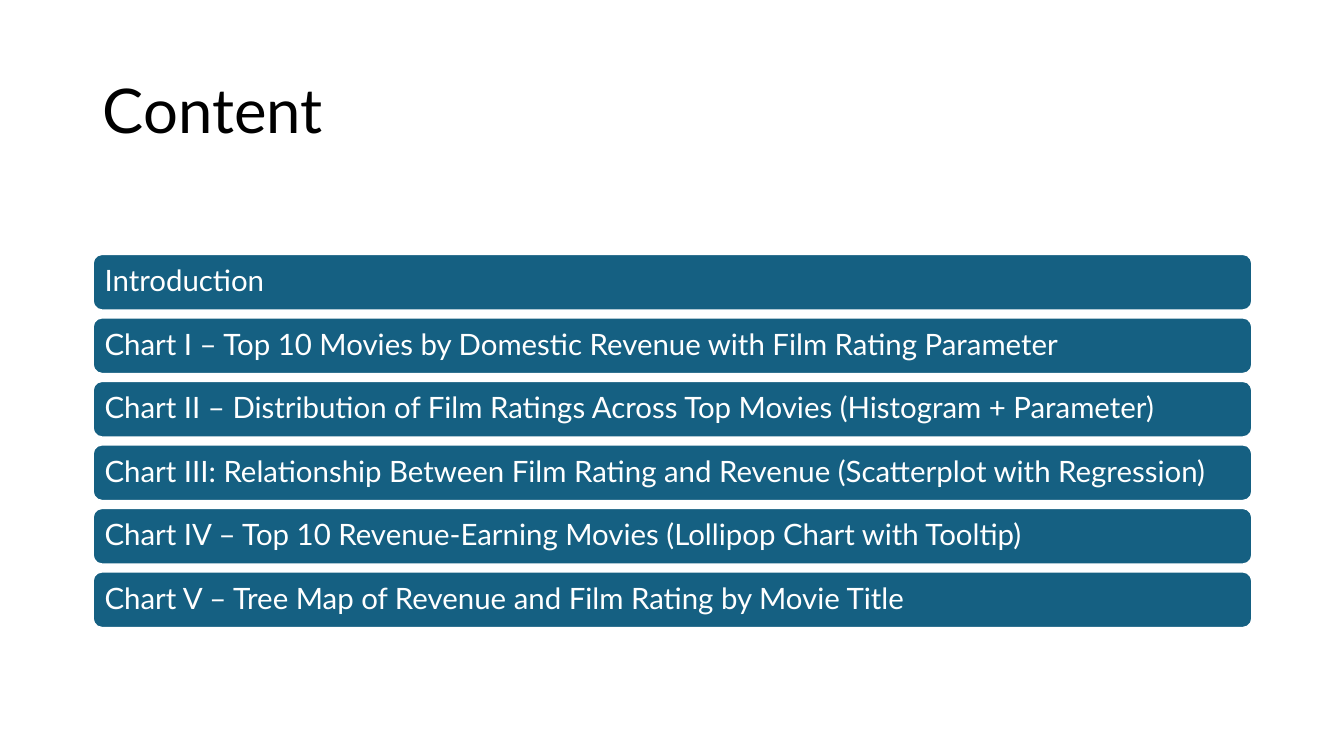
from pptx import Presentation
from pptx.dml.color import RGBColor
from pptx.enum.shapes import MSO_SHAPE
from pptx.enum.text import MSO_ANCHOR, MSO_AUTO_SIZE, PP_ALIGN
from pptx.util import Pt

SCALE = 9144
FONT = "Lato"
TOPICS = [
    "Introduction",
    "Chart I – Top 10 Movies by Domestic Revenue with Film Rating Parameter",
    "Chart II – Distribution of Film Ratings Across Top Movies (Histogram + Parameter)",
    "Chart III: Relationship Between Film Rating and Revenue (Scatterplot with Regression)",
    "Chart IV – Top 10 Revenue-Earning Movies (Lollipop Chart with Tooltip)",
    "Chart V – Tree Map of Revenue and Film Rating by Movie Title",
]


def px(n):
    """Turn px into EMU."""
    return n * SCALE


def color(code):
    """Turn a hex string into a colour."""
    return RGBColor.from_string(code)


def assign(item, values):
    """Set each named value on an item."""
    for name, value in values.items():
        setattr(item, name, value)


def write(shape, text, size, ink, inset):
    """Put one left-aligned line of text in a shape."""
    frame = shape.text_frame
    frame.text = text
    assign(frame, {
        "word_wrap": True,
        "auto_size": MSO_AUTO_SIZE.NONE,
        "vertical_anchor": MSO_ANCHOR.MIDDLE,
        "margin_left": px(inset),
        "margin_right": px(inset),
    })
    line = frame.paragraphs[0]
    assign(line, {"alignment": PP_ALIGN.LEFT, "line_spacing": 0.9})
    font = line.runs[0].font
    assign(font, {"name": FONT, "size": Pt(size)})
    font.color.rgb = color(ink)


def title(slide, box, text):
    """Place the slide title in its box."""
    left, top, width, height = map(px, box)
    head = slide.shapes.title
    assign(head, {"left": left, "top": top, "width": width, "height": height})
    write(head, text, 44, "000000", 10)


def agenda(slide, box, topics, gap):
    """Fill the box with equal bars, one for each topic."""
    left, top, width, height = box
    tall = (height - gap * (len(topics) - 1)) // len(topics)
    for row, topic in enumerate(topics):
        place = (left, top + row * (tall + gap), width, tall)
        bar = slide.shapes.add_shape(MSO_SHAPE.ROUNDED_RECTANGLE, *map(px, place))
        bar.shadow.inherit = False
        bar.fill.solid()
        bar.fill.fore_color.rgb = color("156082")
        bar.line.color.rgb = color("FFFFFF")
        bar.line.width = Pt(1.5)
        write(bar, topic, 21, "FFFFFF", 9)


def main():
    """Build and save the slide."""
    deck = Presentation()
    assign(deck, {"slide_width": px(1333), "slide_height": px(750)})
    slide = deck.slides.add_slide(deck.slide_layouts[5])
    title(slide, (92, 40, 1150, 145), "Content")
    agenda(slide, (92, 252, 1150, 371), TOPICS, 7)
    deck.save("out.pptx")


if __name__ == "__main__":
    main()
